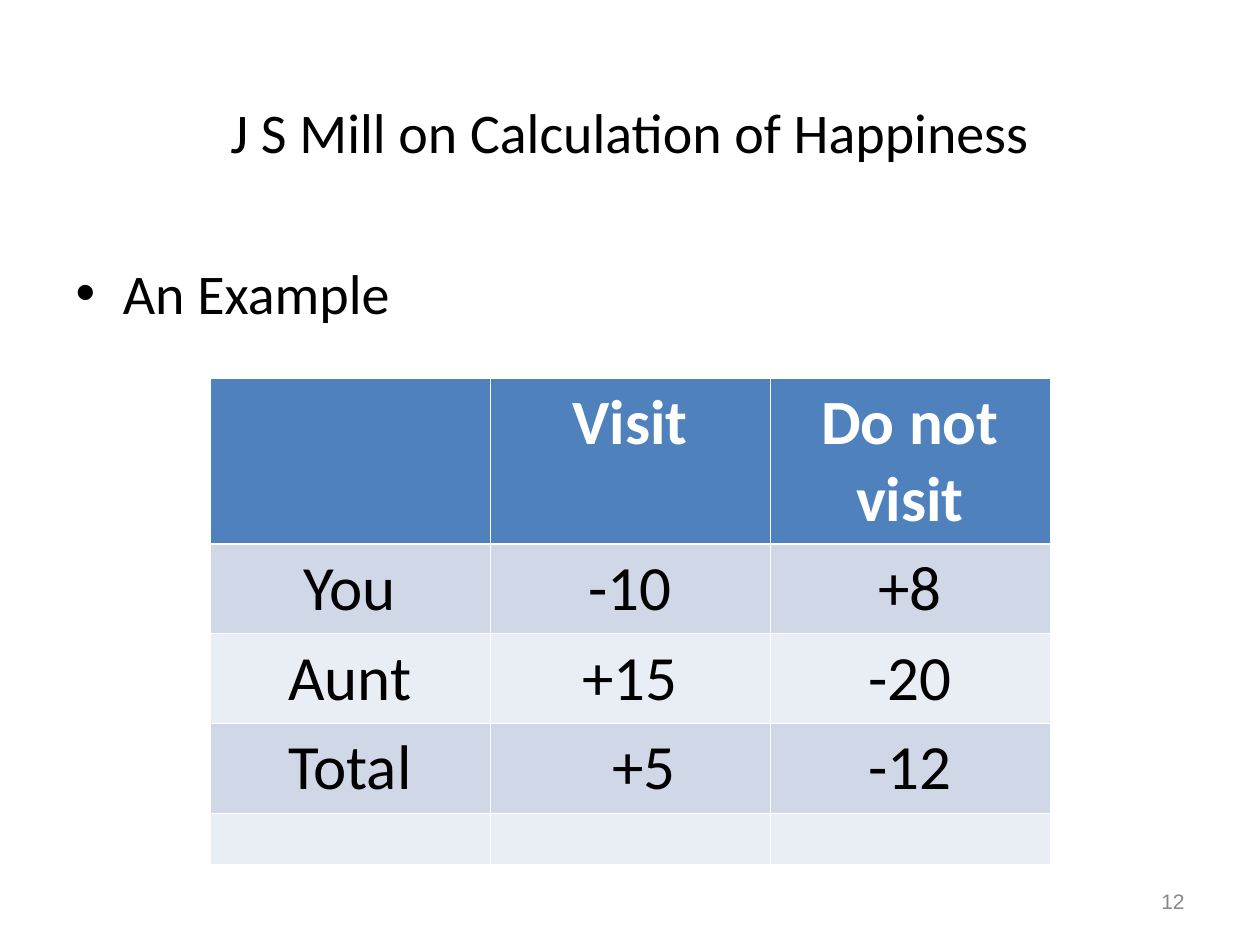
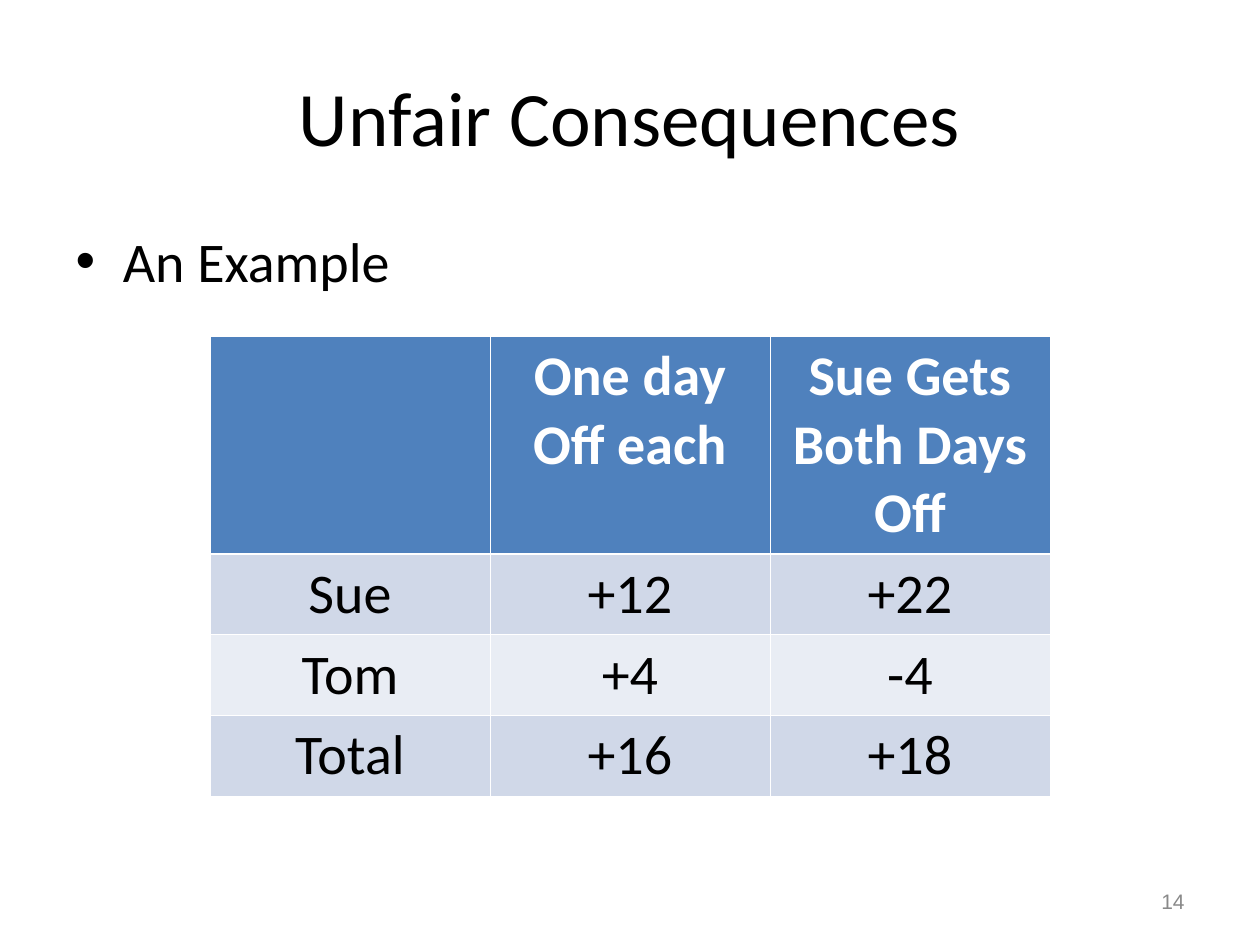
import pptx
import pptx.util
import pptx.dml.color
import pptx.enum.text
import pptx.oxml.ns
from lxml import etree

Pt = pptx.util.Pt
ALIGN = pptx.enum.text.PP_ALIGN
ANCHOR = pptx.enum.text.MSO_ANCHOR

COLORS = {
    "text": "000000",
    "page": "898989",
    "head": "4F81BD",
    "odd": "D0D8E8",
    "even": "E9EDF4",
    "white": "FFFFFF",
}
LEFT, WIDTH = 36, 648
COL = 160
THIN, THICK = 0.45, 1.47


def rgb(name):
    return pptx.dml.color.RGBColor.from_string(COLORS[name])


def place(shape, left, top, width, height):
    shape.left, shape.top = Pt(left), Pt(top)
    shape.width, shape.height = Pt(width), Pt(height)


def style(para, size, align, color="text", face="Calibri", bold=False):
    para.alignment = align
    para.space_before = Pt(0)
    for run in para.runs:
        font = run.font
        font.name, font.size, font.bold = face, Pt(size), bold
        font.color.rgb = rgb(color)


def add_title(slide, text, top, height, size):
    title = slide.shapes.title
    place(title, LEFT, top, WIDTH, height)
    frame = title.text_frame
    frame.text = text
    frame.auto_size = pptx.enum.text.MSO_AUTO_SIZE.NONE
    frame.vertical_anchor = ANCHOR.MIDDLE
    frame.margin_top = frame.margin_bottom = 0
    style(frame.paragraphs[0], size, ALIGN.CENTER)


def add_list(slide, text, top):
    body = slide.placeholders[1]
    place(body, LEFT, top, WIDTH, 474 - top)
    frame = body.text_frame
    frame.text = text
    frame.auto_size = pptx.enum.text.MSO_AUTO_SIZE.NONE
    style(frame.paragraphs[0], 32, ALIGN.JUSTIFY)


def add_page(slide, number):
    box = slide.shapes.add_textbox(Pt(516), Pt(500.4), Pt(168), Pt(28.8))
    frame = box.text_frame
    frame.word_wrap = True
    frame.vertical_anchor = ANCHOR.MIDDLE
    frame.text = str(number)
    style(frame.paragraphs[0], 12, ALIGN.RIGHT, "page", "Arial")


def add_edges(cell, row):
    """Draw white cell borders, thicker below the header row."""
    qn = pptx.oxml.ns.qn
    widths = {
        "lnL": THIN,
        "lnR": THIN,
        "lnT": THICK if row == 1 else THIN,
        "lnB": THICK if row == 0 else THIN,
    }
    props = cell._tc.get_or_add_tcPr()
    for tag, width in widths.items():
        line = etree.SubElement(props, qn("a:" + tag), w=str(Pt(width)))
        fill = etree.SubElement(line, qn("a:solidFill"))
        etree.SubElement(fill, qn("a:srgbClr"), val=COLORS["white"])


def add_grid(slide, rows, heights, top, size):
    count = len(rows[0])
    shape = slide.shapes.add_table(
        len(rows), count, Pt(120), Pt(top), Pt(COL * count), Pt(sum(heights)))
    grid = shape.table
    for col in grid.columns:
        col.width = Pt(COL)
    for r, (texts, height) in enumerate(zip(rows, heights)):
        grid.rows[r].height = Pt(height)
        fill = "head" if r == 0 else "odd" if r % 2 else "even"
        for c, text in enumerate(texts):
            cell = grid.cell(r, c)
            add_edges(cell, r)
            cell.fill.solid()
            cell.fill.fore_color.rgb = rgb(fill)
            if text:
                cell.text = text
                style(cell.text_frame.paragraphs[0], size, ALIGN.CENTER,
                      "text" if r else "white", bold=r == 0)
    return grid


def add_slide(deck, number):
    slide = deck.slides.add_slide(deck.slide_layouts[1])
    add_page(slide, number)
    return slide


def main():
    deck = pptx.Presentation()
    deck.slide_width, deck.slide_height = Pt(720), Pt(540)

    # Happiness of a visit
    slide = add_slide(deck, 12)
    add_title(slide, "J S Mill on Calculation of Happiness", 54, 42, 32)
    add_list(slide, "An Example", 144)
    visit = [
        ("", "Visit", "Do not visit"),
        ("You", "-10", "+8"),
        ("Aunt", "+15", "-20"),
        ("Total", "+5", "-12"),
        ("", "", ""),
    ]
    grid = add_grid(slide, visit, [95] + [51.2] * 3 + [29.2], 216, 36)
    # The positive total sits slightly right of centre
    grid.cell(3, 1).margin_left = Pt(23.2)

    # Days off
    slide = add_slide(deck, 14)
    add_title(slide, "Unfair Consequences", 36, 60, 44)
    add_list(slide, "An Example", 126)
    days = [
        ("", "One day Off each", "Sue Gets Both Days Off"),
        ("Sue", "+12", "+22"),
        ("Tom", "+4", "-4"),
        ("Total", "+16", "+18"),
    ]
    add_grid(slide, days, [124.4] + [46.2] * 3, 192, 32)

    deck.save("out.pptx")


if __name__ == "__main__":
    main()
